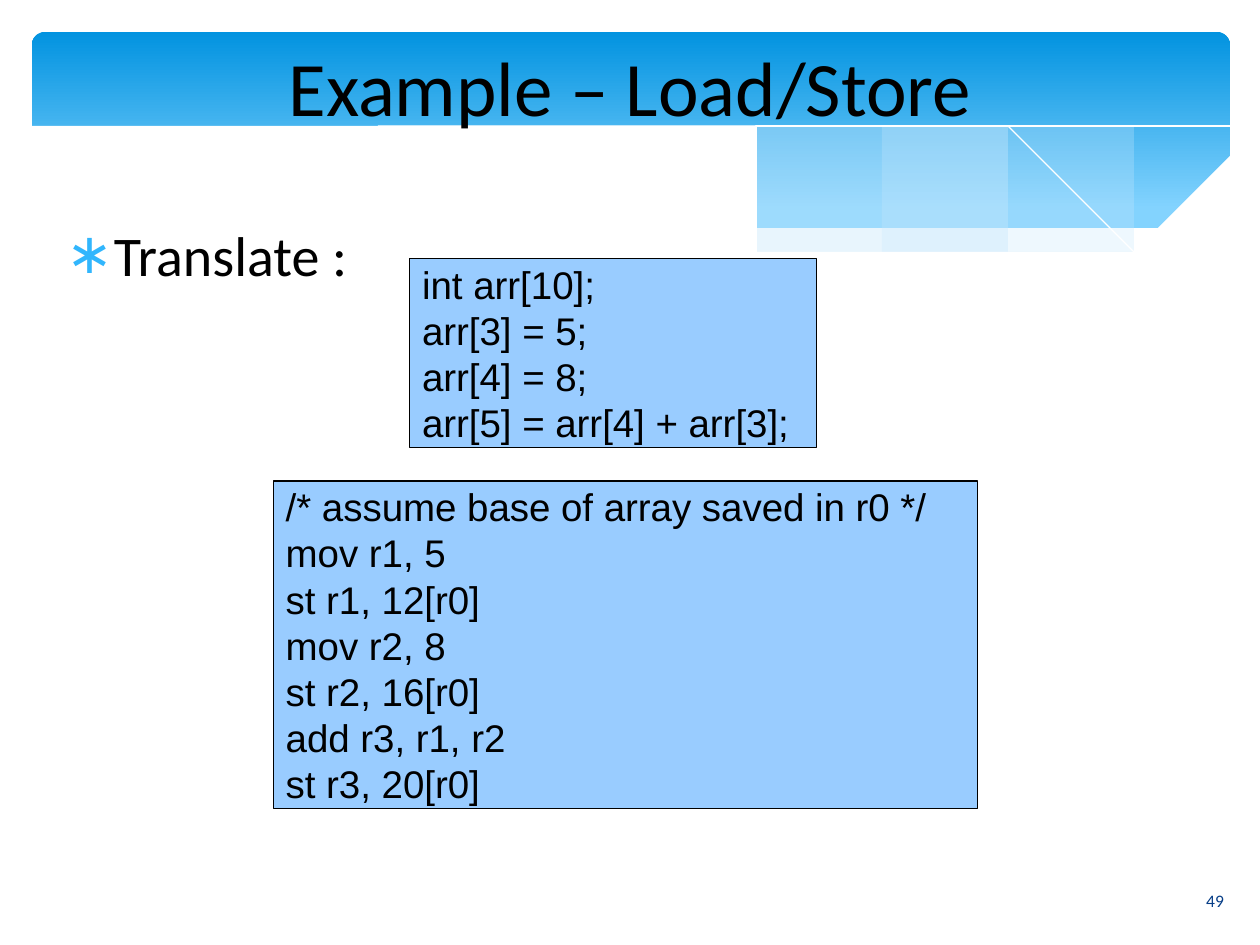
import pptx
import pptx.dml.color
import pptx.enum.shapes
import pptx.enum.text
import pptx.oxml
import pptx.oxml.ns
import pptx.util
from pptx.util import Cm

COLORS = {
    "band_top": "0293E0",
    "band_bottom": "83D3FE",
    "wave": "C6E7FC",
    "white": "FFFFFF",
    "black": "000000",
    "code_fill": "99CCFF",
    "bullet": "31B6FD",
    "page_number": "073E87",
}
COLORS = {name: pptx.dml.color.RGBColor.from_string(value) for name, value in COLORS.items()}
ALIGN = pptx.enum.text.PP_ALIGN
MIDDLE = pptx.enum.text.MSO_ANCHOR.MIDDLE
GRID_UNIT = Cm(2.54)  # wave coordinates are given in units of this length
CURVE_STEPS = 6


def smooth_curve(left, right, heights):
    """Return points of a Catmull-Rom curve through heights spaced evenly from left to right."""
    count = len(heights) - 1
    padded = [2 * heights[0] - heights[1], *heights, 2 * heights[-1] - heights[-2]]
    points = []
    for step in range(count * CURVE_STEPS + 1):
        index = min(step // CURVE_STEPS, count - 1)
        t = step / CURVE_STEPS - index
        a, b, c, d = padded[index:index + 4]
        y = b + t / 2 * (c - a + t * (2 * a - 5 * b + 4 * c - d + t * (3 * (b - c) + d - a)))
        points.append((left + (right - left) * step / (count * CURVE_STEPS), y))
    return points


def write_text(shape, text, size, font_name, color, align, margins=(0, 0), anchor=MIDDLE):
    """Fill a shape with evenly formatted text; margins are (side, top and bottom) in cm."""
    frame = shape.text_frame
    frame.text = text
    frame.vertical_anchor = anchor
    frame.margin_left = frame.margin_right = Cm(margins[0])
    frame.margin_top = frame.margin_bottom = Cm(margins[1])
    for paragraph in frame.paragraphs:
        paragraph.alignment = align
        for run in paragraph.runs:
            run.font.size = pptx.util.Pt(size)
            run.font.name = font_name
            run.font.color.rgb = COLORS[color]
    return frame


presentation = pptx.Presentation()
presentation.slide_width = Cm(25.4)
presentation.slide_height = Cm(19.05)
slide = presentation.slides.add_slide(presentation.slide_layouts[6])
shapes = slide.shapes

# Header band
band = shapes.add_shape(pptx.enum.shapes.MSO_SHAPE.ROUNDED_RECTANGLE,
                        Cm(0.64), Cm(0.64), Cm(24.16), Cm(3.96))
band.adjustments[0] = 0.07
band.shadow.inherit = False
band.line.fill.background()
band.fill.gradient()
band.fill.gradient_angle = 270
for stop, position, color in zip(band.fill.gradient_stops, (0, 0.9), ("band_top", "band_bottom")):
    stop.position = position
    stop.color.rgb = COLORS[color]

# Waves: left, right, upper heights, lower heights (None for a line), fill, opacity in percent
WAVES = [
    (6.61, 9.76, [1.6, 1.45, 1.28, 1.09, 0.94], [1.6, 1.69, 1.72, 1.65, 1.41], "wave", 29),
    (2.86, 8.93, [0.86, 0.8, 0.89, 1.07, 1.31, 1.52, 1.67],
     [0.86, 1.02, 1.25, 1.48, 1.65, 1.73, 1.67], "wave", 40),
    (3.09, 9.07, [0.9, 0.82, 0.98, 1.27, 1.66], None, None, 100),
    (6.13, 9.75, [1.51, 1.2, 0.95, 0.8], None, None, 100),
    (0.23, 9.77, [1.07, 0.8, 0.82, 1, 1.27, 1.52, 1.68, 1.69, 1.41], [2.24, 2.24], "white", 100),
]
for left, right, upper, lower, color, opacity in WAVES:
    points = smooth_curve(left, right, upper)
    if lower:
        points += reversed(smooth_curve(left, right, lower))
    builder = shapes.build_freeform(*points[0], scale=GRID_UNIT)
    builder.add_line_segments(points[1:], close=bool(lower))
    wave = builder.convert_to_shape()
    wave.shadow.inherit = False
    if color is None:
        wave.fill.background()
        wave.line.color.rgb = COLORS["white"]
        wave.line.width = pptx.util.Pt(0)
        continue
    wave.line.fill.background()
    wave.fill.solid()
    wave.fill.fore_color.rgb = COLORS[color]
    if opacity < 100:
        fill_color = wave.fill._xPr.find(".//" + pptx.oxml.ns.qn("a:srgbClr"))
        fill_color.append(pptx.oxml.parse_xml(
            f'<a:alpha {pptx.oxml.ns.nsdecls("a")} val="{opacity * 1000}"/>'))

# Page number, title and body
page_number = shapes.add_textbox(Cm(23.72), Cm(17.65), Cm(1.55), Cm(1.02))
write_text(page_number, "49", 10, "Calibri", "page_number", ALIGN.CENTER).word_wrap = True

title = shapes.add_textbox(Cm(0.64), Cm(0.43), Cm(24.13), Cm(2.59))
write_text(title, "Example – Load/Store", 44, "Calibri", "black", ALIGN.CENTER).word_wrap = True

body = shapes.add_textbox(Cm(0.84), Cm(4.45), Cm(23.7), Cm(12.57))
body_frame = write_text(body, "Translate :", 32, "Calibri", "black", ALIGN.LEFT,
                        anchor=pptx.enum.text.MSO_ANCHOR.TOP)
body_frame.word_wrap = True
properties = body_frame.paragraphs[0]._p.get_or_add_pPr()
properties.set("marL", str(Cm(1.4)))
properties.set("indent", str(-Cm(0.89)))
for bullet_xml in (f'<a:buClr {{}}><a:srgbClr val="{COLORS["bullet"]}"/></a:buClr>',
                   '<a:buFont {} typeface="Calibri"/>',
                   '<a:buChar {} char="∗"/>'):
    properties.append(pptx.oxml.parse_xml(bullet_xml.format(pptx.oxml.ns.nsdecls("a"))))

# Code boxes: left, top, width, height in cm, then the lines
CODE_BOXES = [
    (8.26, 5.21, 8.2, 3.81,
     ["int arr[10];", "arr[3] = 5;", "arr[4] = 8;", "arr[5] = arr[4] + arr[3];"]),
    (5.51, 9.7, 14.2, 6.6,
     ["/* assume base of array saved in r0 */", "mov r1, 5", "st r1, 12[r0]", "mov r2, 8",
      "st r2, 16[r0]", "add r3, r1, r2", "st r3, 20[r0]"]),
]
for *box, code_lines in CODE_BOXES:
    code_box = shapes.add_shape(pptx.enum.shapes.MSO_SHAPE.RECTANGLE, *map(Cm, box))
    code_box.shadow.inherit = False
    code_box.fill.solid()
    code_box.fill.fore_color.rgb = COLORS["code_fill"]
    code_box.line.color.rgb = COLORS["black"]
    code_box.line.width = pptx.util.Pt(0)
    code_frame = write_text(code_box, "\n".join(code_lines), 22, "Arial", "black", ALIGN.LEFT,
                            margins=(0.25, 0.13))
    code_frame.word_wrap = False

presentation.save("out.pptx")
